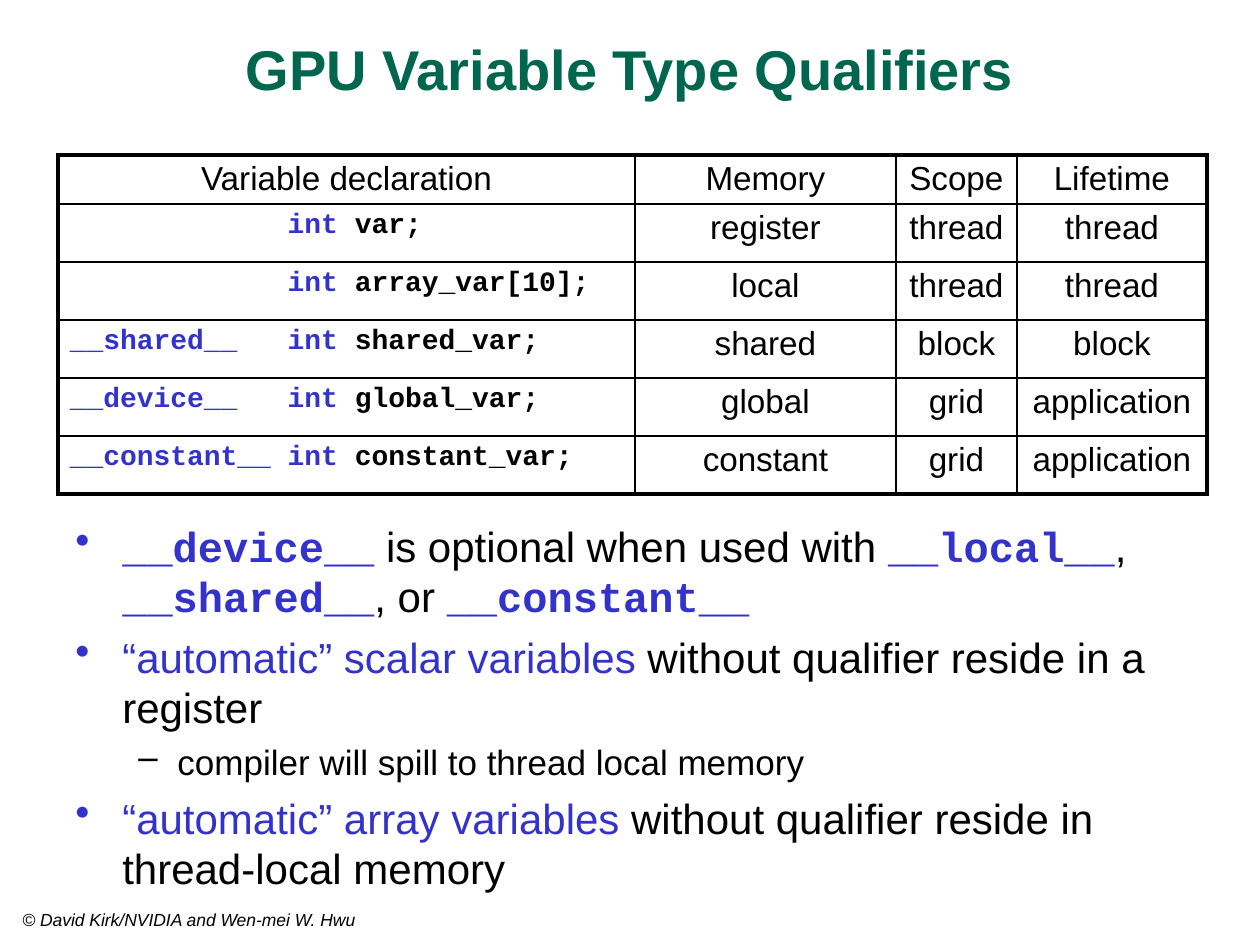
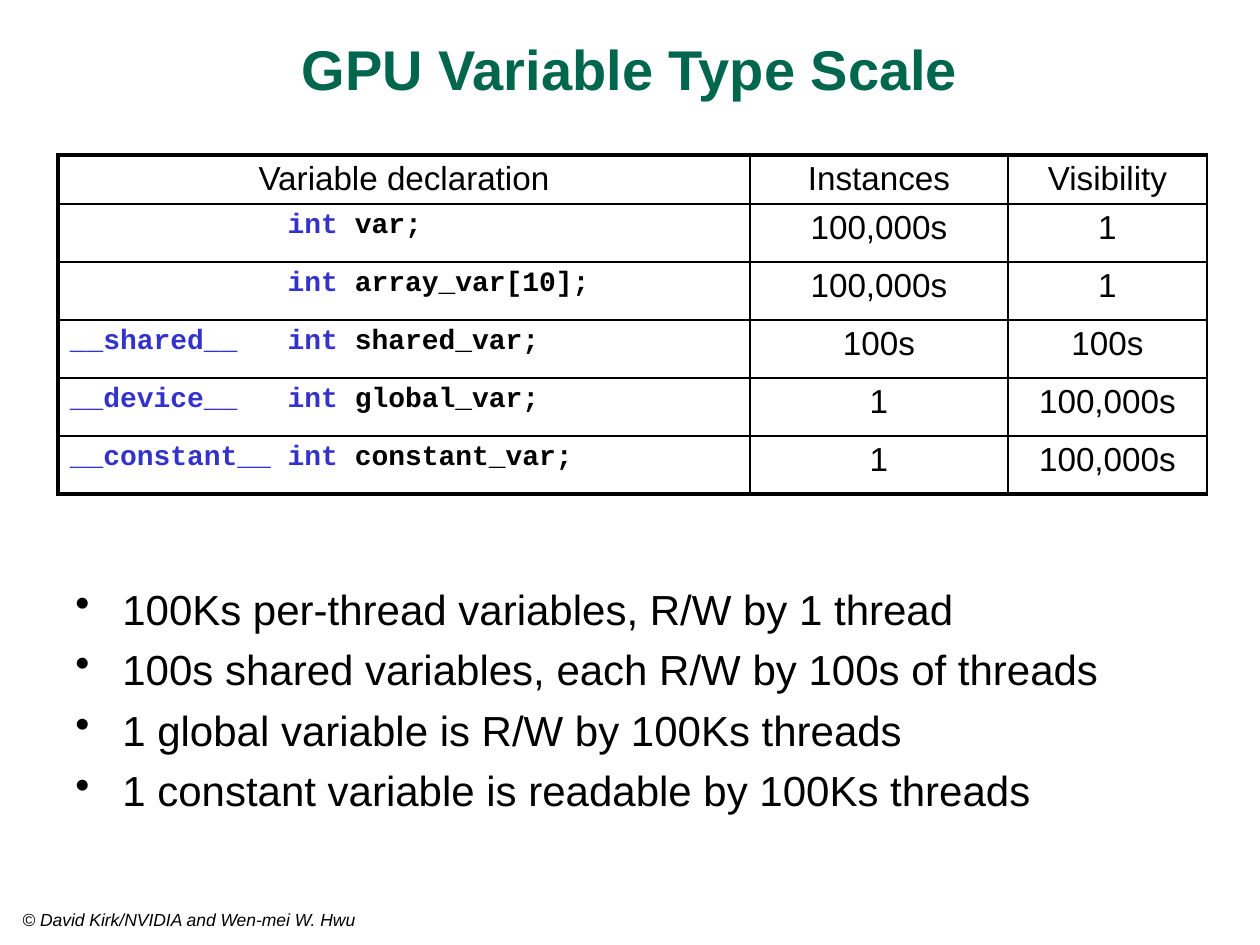
from pptx import Presentation
from pptx.dml.color import RGBColor
from pptx.enum.text import MSO_ANCHOR, PP_ALIGN
from pptx.oxml.xmlchemy import OxmlElement
from pptx.util import Emu, Pt

MIDDLE, TOP = MSO_ANCHOR.MIDDLE, MSO_ANCHOR.TOP
CENTER, LEFT = PP_ALIGN.CENTER, PP_ALIGN.LEFT
PX = 914400 / 126
COLORS = {"title": "00664D", "keyword": "3333CC", "text": "000000"}
STYLES = {
    "title": {"name": "Arial", "size": Pt(32), "bold": True, "color": "title"},
    "body": {"name": "Arial", "size": Pt(24), "color": "text"},
    "accent": {"name": "Arial", "size": Pt(24), "color": "keyword"},
    "qualifier": {"name": "Courier New", "size": Pt(24), "bold": True, "color": "keyword"},
    "sub": {"name": "Arial", "size": Pt(20), "color": "text"},
    "cell": {"name": "Arial", "size": Pt(19), "color": "text"},
    "keyword": {"name": "Courier New", "size": Pt(16), "bold": True, "color": "keyword"},
    "code": {"name": "Courier New", "size": Pt(16), "bold": True, "color": "text"},
    "footer": {"name": "Arial", "size": Pt(10), "italic": True, "color": "text"},
}
# Bullet levels: character, left margin, hanging indent, space before
LEVELS = [("•", 47, 47, Pt(5.8)), ("–", 102, 39, Pt(4.8))]
TITLE_BOX = (21, 21, 1218, 95)
FOOTER_BOX = (10, 903, 567, 32)
TABLE_LEFT, TABLE_TOP = 58, 155
HEADER_HEIGHT, ROW_HEIGHT = 48, 58
THIN, THICK = Pt(1), Pt(2.25)
DECLARATIONS = [
    ("", "var"),
    ("", "array_var[10]"),
    ("__shared__", "shared_var"),
    ("__device__", "global_var"),
    ("__constant__", "constant_var"),
]

SLIDES = [
    {
        "title": "GPU Variable Type Qualifiers",
        "columns": [577, 261, 121, 190],
        "header": ["Memory", "Scope", "Lifetime"],
        "rows": [
            ["register", "thread", "thread"],
            ["local", "thread", "thread"],
            ["shared", "block", "block"],
            ["global", "grid", "application"],
            ["constant", "grid", "application"],
        ],
        "right_edge": THICK,
        "body_box": (63, 514, 1134, 410),
        "bullets": [
            (0, [("__device__", "qualifier"), (" is optional when used with ", "body"),
                 ("__local__", "qualifier"), (", ", "body"), ("__shared__", "qualifier"),
                 (", or ", "body"), ("__constant__", "qualifier")]),
            (0, [("“automatic” scalar variables", "accent"),
                 (" without qualifier reside in a register", "body")]),
            (1, [("compiler will spill to thread local memory", "sub")]),
            (0, [("“automatic” array variables", "accent"),
                 (" without qualifier reside in thread-local memory", "body")]),
        ],
    },
    {
        "title": "GPU Variable Type Scale",
        "columns": [692, 258, 199],
        "header": ["Instances", "Visibility"],
        "rows": [
            ["100,000s", "1"],
            ["100,000s", "1"],
            ["100s", "100s"],
            ["1", "100,000s"],
            ["1", "100,000s"],
        ],
        "right_edge": THIN,
        "body_box": (63, 577, 1134, 357),
        "bullets": [
            (0, [("100Ks per-thread variables, R/W by 1 thread", "body")]),
            (0, [("100s shared variables, each R/W by 100s of threads", "body")]),
            (0, [("1 global variable is R/W by 100Ks threads", "body")]),
            (0, [("1 constant variable is readable by 100Ks threads", "body")]),
        ],
    },
]


def px(*lengths):
    return [Emu(round(length * PX)) for length in lengths]


def write(paragraph, runs, alignment=LEFT):
    """Fill a paragraph with (text, style name) runs."""
    paragraph.alignment = alignment
    for text, style in runs:
        run = paragraph.add_run()
        run.text = text
        for attribute, value in STYLES[style].items():
            if attribute == "color":
                run.font.color.rgb = RGBColor.from_string(COLORS[value])
            else:
                setattr(run.font, attribute, value)


presentation = Presentation()
presentation.slide_width, presentation.slide_height = px(1260, 945)
title_only = presentation.slide_layouts[5]

for content in SLIDES:
    slide = presentation.slides.add_slide(title_only)
    title = slide.shapes.title
    title.left, title.top, title.width, title.height = px(*TITLE_BOX)
    title.text_frame.vertical_anchor = MIDDLE
    write(title.text_frame.paragraphs[0], [(content["title"], "title")], CENTER)

    # Bulleted text
    body = slide.shapes.add_textbox(*px(*content["body_box"])).text_frame
    body.word_wrap = True
    for index, (level, runs) in enumerate(content["bullets"]):
        paragraph = body.add_paragraph() if index else body.paragraphs[0]
        character, margin, hanging, space_before = LEVELS[level]
        properties = paragraph._p.get_or_add_pPr()
        for name, length in (("marL", margin), ("indent", -hanging)):
            properties.set(name, str(px(length)[0]))
        bullet = OxmlElement("a:buChar")
        bullet.set("char", character)
        properties.append(bullet)
        paragraph.level = level
        paragraph.space_before = space_before if index else Pt(0)
        write(paragraph, runs)

    # Table of declarations
    columns = content["columns"]
    rows = [[[("Variable declaration", "cell")]]]
    for qualifier, variable in DECLARATIONS:
        rows.append([[(f"{qualifier:<13}int", "keyword"), (f" {variable};", "code")]])
    for row, values in zip(rows, [content["header"], *content["rows"]]):
        row.extend([(value, "cell")] for value in values)
    heights = [HEADER_HEIGHT] + [ROW_HEIGHT] * len(DECLARATIONS)
    table = slide.shapes.add_table(
        len(rows), len(columns),
        *px(TABLE_LEFT, TABLE_TOP, sum(columns), sum(heights))).table
    table.first_row = table.horz_banding = False
    for column, width in zip(table.columns, px(*columns)):
        column.width = width
    for row, height in zip(table.rows, px(*heights)):
        row.height = height

    last_row, last_column = len(rows) - 1, len(columns) - 1
    for row_index, row in enumerate(rows):
        for column_index, runs in enumerate(row):
            cell = table.cell(row_index, column_index)
            cell.margin_left, cell.margin_right, cell.margin_top, cell.margin_bottom = px(12, 12, 6, 3)
            cell.vertical_anchor = TOP
            is_code = row_index > 0 and column_index == 0
            write(cell.text_frame.paragraphs[0], runs, LEFT if is_code else CENTER)
            borders = {
                "a:lnL": THIN if column_index else THICK,
                "a:lnR": content["right_edge"] if column_index == last_column else THIN,
                "a:lnT": THIN if row_index else THICK,
                "a:lnB": THICK if row_index == last_row else THIN,
            }
            for tag, width in borders.items():
                line = OxmlElement(tag)
                line.set("w", str(width))
                fill = OxmlElement("a:solidFill")
                color = OxmlElement("a:srgbClr")
                color.set("val", COLORS["text"])
                fill.append(color)
                line.append(fill)
                cell._tc.get_or_add_tcPr().append(line)
            cell.fill.background()

    footer = slide.shapes.add_textbox(*px(*FOOTER_BOX)).text_frame
    footer.word_wrap = True
    write(footer.paragraphs[0], [("© David Kirk/NVIDIA and Wen-mei W. Hwu", "footer")])

presentation.save("out.pptx")
